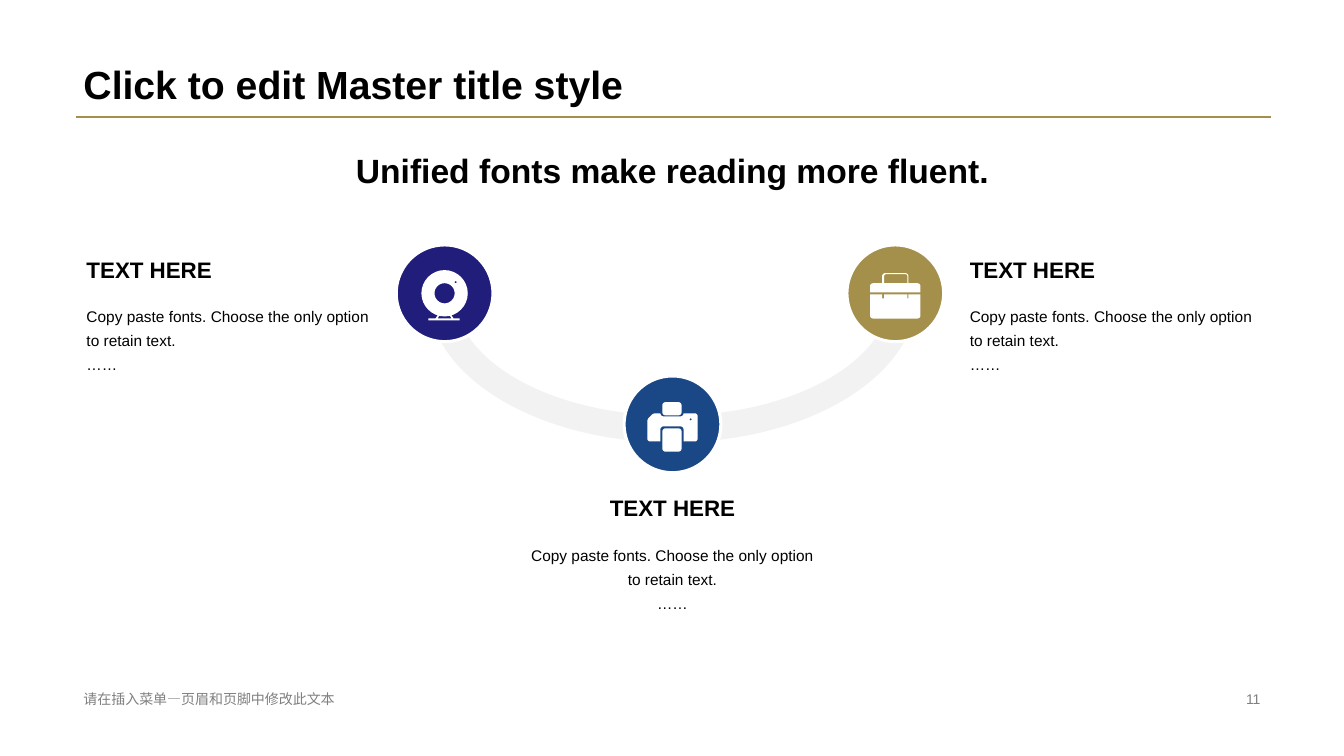
"""Build a slide with three icon discs on an arc, each with a caption."""
from itertools import chain

from lxml.etree import SubElement
from pptx import Presentation
from pptx.dml.color import RGBColor
from pptx.enum.shapes import MSO_CONNECTOR, MSO_SHAPE
from pptx.enum.text import MSO_ANCHOR, PP_ALIGN
from pptx.oxml.ns import qn
from pptx.util import Inches, Pt

TITLE = "Click to edit Master title style"
HEADLINE = "Unified fonts make reading more fluent."
FOOTER = "请在插入菜单—页眉和页脚中修改此文本"
PAGE_NUMBER = "11"
CAPTION = "TEXT HERE"
BODY = ["Copy paste fonts. Choose the only option to retain text.", "……"]

BLACK, WHITE, GRAY, PALE = "000000", "FFFFFF", "808080", "F2F2F2"
NAVY, BLUE, GOLD = "201D7B", "1A4886", "A48F4B"
WIDTH, HEIGHT = 13.33, 7.5
MARGIN, CONTENT_WIDTH = 0.73, 11.87
FIRST_COLUMN, COLUMN_STEP, COLUMN_WIDTH = 0.76, 4.38, 3.06
DISC = 0.96
CORNER_STEPS = 8
CURVE = 0.55


def box(left, top, right, bottom, radius=0):
    """Return the corners of a rectangle as (x, y, corner radius)."""
    return [(left, top, radius), (right, top, radius),
            (right, bottom, radius), (left, bottom, radius)]


def circle(x, y, radius):
    """Return a square whose corners are rounded into a circle."""
    return box(x - radius, y - radius, x + radius, y + radius, radius)


WEBCAM = [
    circle(0.23, 0.23, 0.23),
    circle(0.23, 0.23, 0.1),
    circle(0.34, 0.12, 0.01),
    box(0.07, 0.48, 0.38, 0.5),
    [(0.16, 0.45, 0), (0.18, 0.45, 0), (0.16, 0.48, 0), (0.14, 0.48, 0)],
    [(0.28, 0.45, 0), (0.3, 0.45, 0), (0.32, 0.48, 0), (0.3, 0.48, 0)],
]
PRINTER = [
    box(0.15, 0, 0.34, 0.13, 0.03),
    box(0.15, 0.26, 0.34, 0.49, 0.03),
    circle(0.43, 0.17, 0.01),
    [(0.13, 0.11, 0), (0.13, 0.14, 0.03), (0.36, 0.14, 0.03),
     (0.36, 0.11, 0), (0.5, 0.11, 0.03), (0.5, 0.39, 0.03),
     (0.36, 0.39, 0), (0.36, 0.24, 0.03), (0.13, 0.24, 0.03),
     (0.13, 0.39, 0), (0, 0.39, 0.03), (0, 0.17, 0.02), (0.06, 0.11, 0.02)],
]
BRIEFCASE = [
    [(0, 0.21, 0), (0.12, 0.21, 0), (0.12, 0.25, 0), (0.14, 0.25, 0),
     (0.14, 0.21, 0), (0.37, 0.21, 0), (0.37, 0.25, 0), (0.38, 0.25, 0),
     (0.38, 0.21, 0), (0.5, 0.21, 0), (0.5, 0.45, 0.03), (0, 0.45, 0.03)],
    [(0, 0.19, 0), (0, 0.1, 0.03), (0.12, 0.1, 0), (0.12, 0, 0.03),
     (0.38, 0, 0.03), (0.38, 0.1, 0), (0.5, 0.1, 0.03), (0.5, 0.19, 0)],
    [(0.14, 0.1, 0), (0.14, 0.01, 0.02), (0.37, 0.01, 0.02), (0.37, 0.1, 0)],
]

STATIONS = [
    {"disc": (3.93, 2.43), "color": NAVY, "icon": WEBCAM,
     "offset": (0.25, 0.25), "text_top": 2.39, "align": PP_ALIGN.LEFT},
    {"disc": (6.19, 3.73), "color": BLUE, "icon": PRINTER,
     "offset": (0.23, 0.26), "text_top": 4.76, "align": PP_ALIGN.CENTER},
    {"disc": (8.4, 2.43), "color": GOLD, "icon": BRIEFCASE,
     "offset": (0.23, 0.28), "text_top": 2.39, "align": PP_ALIGN.LEFT},
]


def rgb(value):
    """Turn a hex string into a color."""
    return RGBColor.from_string(value)


def paint(shape, fill, outline=None):
    """Give a shape a flat fill and an optional outline."""
    shape.shadow.inherit = False
    shape.fill.solid()
    shape.fill.fore_color.rgb = rgb(fill)
    if outline:
        shape.line.color.rgb = rgb(outline)
        shape.line.width = Pt(2.25)
    else:
        shape.line.fill.background()


def add_text(slide, bounds, lines, size, color=BLACK, bold=False,
             align=PP_ALIGN.LEFT, anchor=MSO_ANCHOR.MIDDLE, spacing=1.0):
    """Add a wrapped text box with one paragraph per line."""
    frame = slide.shapes.add_textbox(*map(Inches, bounds)).text_frame
    frame.word_wrap = True
    frame.vertical_anchor = anchor
    frame.text = "\n".join(lines)
    for paragraph in frame.paragraphs:
        paragraph.alignment = align
        paragraph.line_spacing = spacing
        paragraph.font.name = "Arial"
        paragraph.font.size = Pt(size)
        paragraph.font.bold = bold
        paragraph.font.color.rgb = rgb(color)


def toward(corner, other, distance):
    """Return the point at a distance from a corner toward another one."""
    dx, dy = other[0] - corner[0], other[1] - corner[1]
    share = distance / (dx * dx + dy * dy) ** 0.5
    return corner[0] + dx * share, corner[1] + dy * share


def round_corner(before, corner, after):
    """Return the points that replace a corner by a curve."""
    radius = corner[2]
    if not radius:
        return [corner[:2]]
    handle = radius * (1 - CURVE)
    controls = [toward(corner, before, radius), toward(corner, before, handle),
                toward(corner, after, handle), toward(corner, after, radius)]
    points = []
    for step in range(CORNER_STEPS + 1):
        t = step / CORNER_STEPS
        weights = ((1 - t) ** 3, 3 * t * (1 - t) ** 2, 3 * t * t * (1 - t), t ** 3)
        points.append(tuple(sum(weight * control[axis] for weight, control
                                in zip(weights, controls)) for axis in (0, 1)))
    return points


def add_icon(slide, outlines, left, top):
    """Draw all outlines of an icon as one white freeform."""
    builder = None
    for corners in outlines:
        following = corners[1:] + corners[:1]
        previous = corners[-1:] + corners[:-1]
        curves = map(round_corner, previous, corners, following)
        points = [(Inches(left + x), Inches(top + y))
                  for x, y in chain.from_iterable(curves)]
        if builder is None:
            builder = slide.shapes.build_freeform(*points[0])
        else:
            builder.move_to(*points[0])
        builder.add_line_segments(points[1:], close=True)
    paint(builder.convert_to_shape(), WHITE)


def add_station(slide, column, station):
    """Draw one disc with its icon, caption and body text."""
    left, top = station["disc"]
    disc = slide.shapes.add_shape(
        MSO_SHAPE.OVAL, *map(Inches, (left, top, DISC, DISC)))
    paint(disc, station["color"], WHITE)
    shift_x, shift_y = station["offset"]
    add_icon(slide, station["icon"], left + shift_x, top + shift_y)
    text_left = FIRST_COLUMN + column * COLUMN_STEP
    text_top, align = station["text_top"], station["align"]
    add_text(slide, (text_left, text_top, COLUMN_WIDTH, 0.56), [CAPTION], 16,
             bold=True, align=align)
    add_text(slide, (text_left, text_top + 0.55, COLUMN_WIDTH, 0.91), BODY, 11,
             align=align, anchor=MSO_ANCHOR.TOP, spacing=1.3)


def main():
    """Build and save the slide."""
    presentation = Presentation()
    presentation.slide_width, presentation.slide_height = Inches(WIDTH), Inches(HEIGHT)
    slide = presentation.slides.add_slide(presentation.slide_layouts[6])

    rule = slide.shapes.add_connector(
        MSO_CONNECTOR.STRAIGHT, *map(Inches, (0.75, 1.16, 12.61, 1.16)))
    rule.line.color.rgb = rgb(GOLD)
    rule.line.width = Pt(2)
    SubElement(rule._element.spPr, qn("a:effectLst"))

    add_text(slide, (MARGIN, 0, CONTENT_WIDTH, 1.12), [TITLE], 28, bold=True,
             anchor=MSO_ANCHOR.BOTTOM, spacing=0.9)
    add_text(slide, (MARGIN, 6.82, 4.53, 0.23), [FOOTER], 10, GRAY)
    add_text(slide, (9.42, 6.82, 3.18, 0.23), [PAGE_NUMBER], 10, GRAY,
             align=PP_ALIGN.RIGHT)
    add_text(slide, (3.1, 1.37, 7.14, 0.64), [HEADLINE], 24, bold=True,
             align=PP_ALIGN.CENTER)

    arc = slide.shapes.add_shape(
        MSO_SHAPE.BLOCK_ARC, *map(Inches, (4.24, 1.43, 4.86, 2.96)))
    arc.adjustments[2] = 0.09
    arc.rotation = 180
    paint(arc, PALE)
    for column, station in enumerate(STATIONS):
        add_station(slide, column, station)

    presentation.save("out.pptx")


if __name__ == "__main__":
    main()
